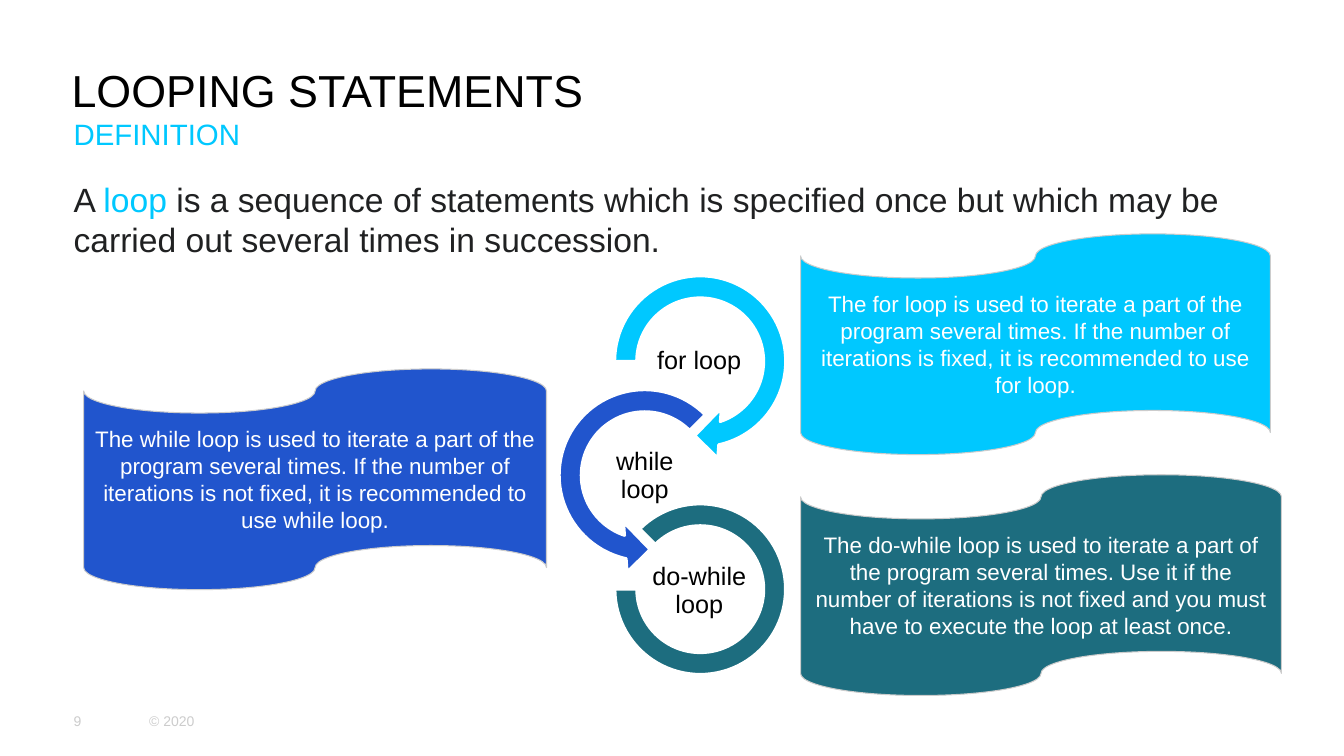
from dataclasses import dataclass

from pptx import Presentation
from pptx.dml.color import RGBColor
from pptx.enum.shapes import MSO_SHAPE
from pptx.enum.text import MSO_ANCHOR, MSO_AUTO_SIZE, PP_ALIGN
from pptx.util import Inches, Pt

CIRCULAR_ARROW = MSO_SHAPE.CIRCULAR_ARROW
LEFT_CIRCULAR_ARROW = MSO_SHAPE.LEFT_CIRCULAR_ARROW
BLOCK_ARC = MSO_SHAPE.BLOCK_ARC
PUNCHED_TAPE = MSO_SHAPE.FLOWCHART_PUNCHED_TAPE
TOP, MIDDLE, BOTTOM = MSO_ANCHOR.TOP, MSO_ANCHOR.MIDDLE, MSO_ANCHOR.BOTTOM
LEFT, CENTER = PP_ALIGN.LEFT, PP_ALIGN.CENTER

BLACK = RGBColor(0x00, 0x00, 0x00)
WHITE = RGBColor(0xFF, 0xFF, 0xFF)
INK = RGBColor(0x20, 0x21, 0x22)
GREY = RGBColor(0xCC, 0xCC, 0xCC)
CYAN = RGBColor(0x00, 0xC8, 0xFF)
BLUE = RGBColor(0x21, 0x55, 0xCD)
TEAL = RGBColor(0x1D, 0x6D, 0x7F)

FONT = "Arial"
MARGIN = 0.73
CONTENT_WIDTH = 11.87
TAPE_HEIGHT = 2.19
LABEL_TOP, LABEL_PITCH = 3.31, 1.14
LABEL_SIZE = (1.09, 0.55)


@dataclass(frozen=True)
class Ring:
    preset: MSO_SHAPE
    left: float
    top: float
    size: float
    adjustments: tuple[float, ...]


@dataclass(frozen=True)
class Loop:
    label: str
    label_left: float
    color: RGBColor
    ring: Ring
    tape_box: tuple[float, float, float]  # left, top, width
    use: str


LOOPS = (
    Loop("for loop", 6.39, CYAN,
         Ring(CIRCULAR_ARROW, 5.96, 2.6, 1.97, (0.11, 11.42, 45, 108, 0.125)),
         (7.94, 2.32, 4.66),
         "The for loop is used to iterate a part of the program several times. "
         "If the number of iterations is fixed, it is recommended to use for loop."),
    Loop("while loop", 5.85, BLUE,
         Ring(LEFT_CIRCULAR_ARROW, 5.41, 3.73, 1.97, (0.11, 11.42, 63, 189, 0.125)),
         (0.83, 3.66, 4.59),
         "The while loop is used to iterate a part of the program several times. "
         "If the number of iterations is not fixed, it is recommended to use while loop."),
    Loop("do-while loop", 6.39, TEAL,
         Ring(BLOCK_ARC, 6.1, 5.0, 1.69, (135, 108, 0.127)),
         (7.94, 4.71, 4.77),
         "The do-while loop is used to iterate a part of the program several times. "
         "Use it if the number of iterations is not fixed and you must have to "
         "execute the loop at least once."),
)


def write(shape, *runs: tuple[str, RGBColor], size: float, align=LEFT, anchor=TOP,
          inset: float | None = 0, line_spacing: float | None = None) -> None:
    """Fill a shape with one paragraph of coloured runs; inset None keeps the default."""
    frame = shape.text_frame
    frame.word_wrap = True
    frame.auto_size = MSO_AUTO_SIZE.NONE
    frame.vertical_anchor = anchor
    if inset is not None:
        frame.margin_left = frame.margin_right = Inches(inset)
        frame.margin_top = frame.margin_bottom = Inches(inset)
    paragraph = frame.paragraphs[0]
    paragraph.alignment = align
    if line_spacing is not None:
        paragraph.line_spacing = line_spacing
    for text, color in runs:
        run = paragraph.add_run()
        run.text = text
        run.font.name = FONT
        run.font.size = Pt(size)
        run.font.color.rgb = color


def add_box(slide, left: float, top: float, width: float, height: float):
    return slide.shapes.add_textbox(Inches(left), Inches(top), Inches(width), Inches(height))


def add_filled(slide, preset: MSO_SHAPE, left: float, top: float, width: float,
               height: float, fill: RGBColor, line: RGBColor, line_width: float):
    shape = slide.shapes.add_shape(preset, Inches(left), Inches(top),
                                   Inches(width), Inches(height))
    shape.shadow.inherit = False
    shape.fill.solid()
    shape.fill.fore_color.rgb = fill
    shape.line.color.rgb = line
    shape.line.width = Pt(line_width)
    return shape


def add_ring(slide, ring: Ring, color: RGBColor) -> None:
    shape = add_filled(slide, ring.preset, ring.left, ring.top, ring.size, ring.size,
                       color, WHITE, 2)
    for index, value in enumerate(ring.adjustments):
        shape.adjustments[index] = value


def add_tape(slide, loop: Loop) -> None:
    tape = add_filled(slide, PUNCHED_TAPE, *loop.tape_box, TAPE_HEIGHT,
                      loop.color, GREY, 0.75)
    write(tape, (loop.use, WHITE), size=16, align=CENTER, anchor=MIDDLE, inset=None)


def main() -> None:
    presentation = Presentation()
    presentation.slide_width = Inches(13.33)
    presentation.slide_height = Inches(7.5)
    slide = presentation.slides.add_slide(presentation.slide_layouts[5])

    title = slide.shapes.title
    title.left, title.top = Inches(0.71), Inches(0.01)
    title.width, title.height = Inches(11.9), Inches(1.15)
    write(title, ("LOOPING STATEMENTS", BLACK), size=32, anchor=BOTTOM)

    subtitle = add_box(slide, MARGIN, 1.15, CONTENT_WIDTH, 0.44)
    write(subtitle, ("DEFINITION", CYAN), size=21)

    definition = add_box(slide, MARGIN, 1.77, CONTENT_WIDTH, 4.92)
    write(definition, ("A ", INK), ("loop", CYAN),
          (" is a sequence of statements which is specified once but which may be "
           "carried out several times in succession.", INK), size=24)

    for index, loop in enumerate(LOOPS):
        add_ring(slide, loop.ring, loop.color)
        label = add_box(slide, loop.label_left, LABEL_TOP + index * LABEL_PITCH, *LABEL_SIZE)
        write(label, (loop.label, BLACK), size=18, align=CENTER, anchor=MIDDLE,
              inset=0.01, line_spacing=0.9)
    for loop in LOOPS:
        add_tape(slide, loop)

    for text, left, width in (("9", MARGIN, 0.74), ("© 2020", 1.48, 1.08)):
        footer = add_box(slide, left, 6.95, width, 0.4)
        write(footer, (text, GREY), size=10, anchor=MIDDLE)

    presentation.save("out.pptx")


if __name__ == "__main__":
    main()
